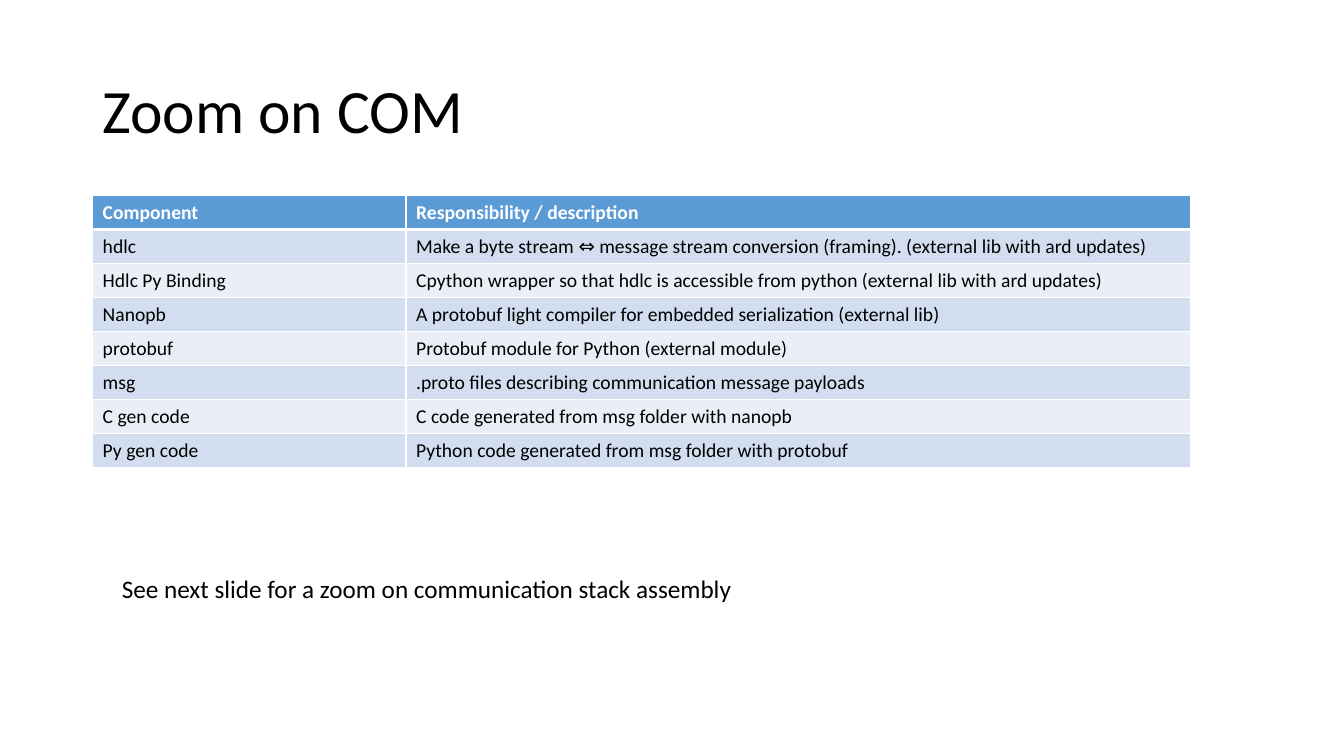
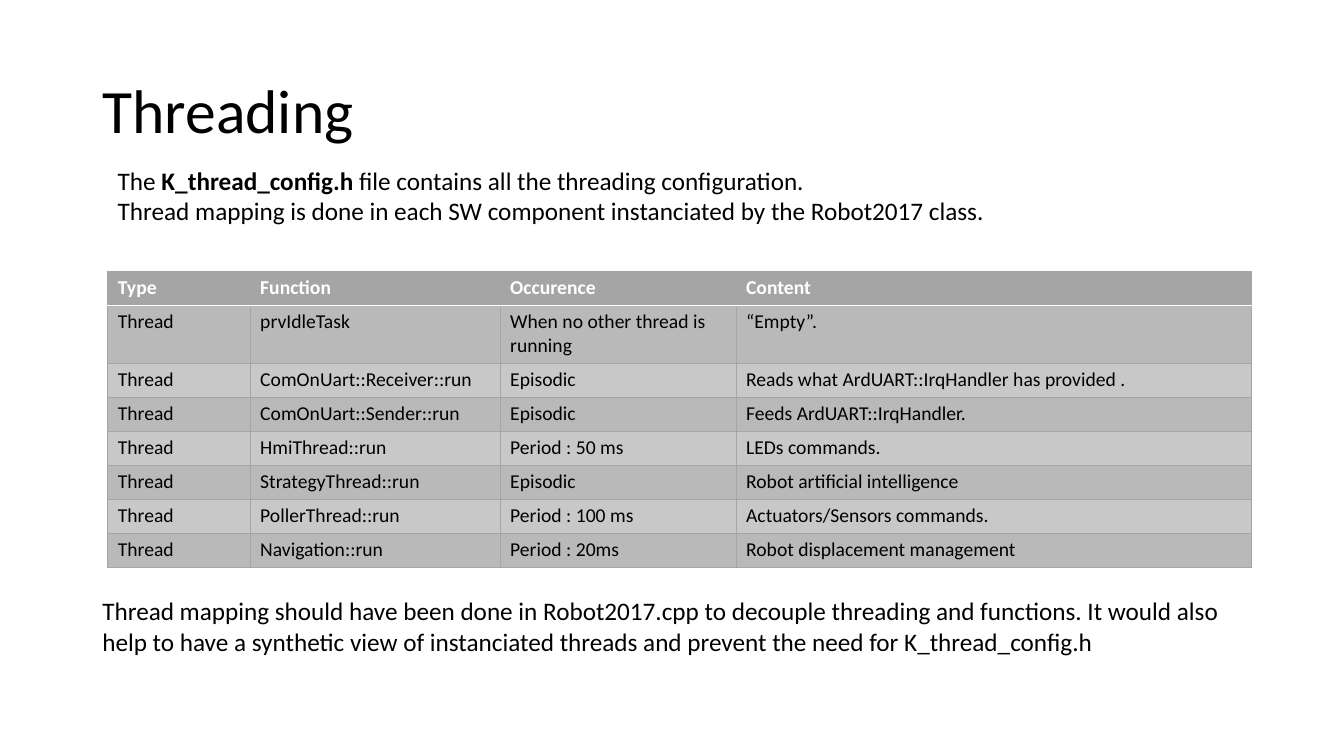
import pptx
import pptx.util
import pptx.dml.color
import pptx.enum.text
import pptx.oxml
import pptx.oxml.ns

Pt = pptx.util.Pt
FONT = "Calibri"
ROW_H = 24.3
COLORS = {
    "text": "000000",
    "white": "FFFFFF",
    "blue": "5B9BD5",
    "blue_mid": "D2DEEF",
    "blue_light": "EAEFF7",
    "gray": "A5A5A5",
    "gray_mid": "B9B9B9",
    "gray_light": "C8C8C8",
}
BLUE_STYLE = {"header": "blue", "bands": ("blue_mid", "blue_light"),
              "line": ("white", 1), "rule": ("white", 3)}
GRAY_STYLE = {"header": "gray", "bands": ("gray_mid", "gray_light"),
              "line": ("gray", 0.5), "rule": ("white", 1)}


def rgb(name):
    return pptx.dml.color.RGBColor.from_string(COLORS[name])


def format_run(r, size, color="text", bold=False):
    r.font.name = FONT
    r.font.size = Pt(size)
    r.font.bold = bold
    r.font.color.rgb = rgb(color)


def add_slide(prs, title):
    s = prs.slides.add_slide(prs.slide_layouts[5])
    sp = s.shapes.title
    sp.left, sp.top, sp.width, sp.height = Pt(66), Pt(28.8), Pt(828), Pt(104.4)
    tf = sp.text_frame
    tf.text = title
    tf.auto_size = pptx.enum.text.MSO_AUTO_SIZE.NONE
    tf.vertical_anchor = pptx.enum.text.MSO_ANCHOR.MIDDLE
    p = tf.paragraphs[0]
    p.alignment = pptx.enum.text.PP_ALIGN.LEFT
    p.line_spacing = 0.9
    format_run(p.runs[0], 44)
    return s


def add_text(s, box, paragraphs, wrap=True):
    sp = s.shapes.add_textbox(*map(Pt, box))
    tf = sp.text_frame
    tf.word_wrap = wrap
    for i, parts in enumerate(paragraphs):
        p = tf.paragraphs[0] if i == 0 else tf.add_paragraph()
        for text, bold in parts:
            r = p.add_run()
            r.text = text
            format_run(r, 18, bold=bold)


def add_border(cell, side, color, width):
    cell._tc.get_or_add_tcPr().append(pptx.oxml.parse_xml(
        f'<a:ln{side} {pptx.oxml.ns.nsdecls("a")} w="{int(Pt(width))}">'
        f'<a:solidFill><a:srgbClr val="{COLORS[color]}"/></a:solidFill>'
        f'</a:ln{side}>'))


def format_cell(cell, text, row, style):
    edges = {side: style["line"] for side in "LRTB"}
    if row == 0:
        edges["B"] = style["rule"]
    elif row == 1:
        edges["T"] = style["rule"]
    for side, (color, width) in edges.items():
        add_border(cell, side, color, width)
    fill = style["header"] if row == 0 else style["bands"][(row - 1) % 2]
    cell.fill.solid()
    cell.fill.fore_color.rgb = rgb(fill)
    cell.text = text
    format_run(cell.text_frame.paragraphs[0].runs[0], 14,
               "white" if row == 0 else "text", row == 0)


def add_grid(s, left, top, widths, rows, style, tall_rows=()):
    heights = [41.4 if i in tall_rows else ROW_H for i in range(len(rows))]
    table = s.shapes.add_table(len(rows), len(widths), Pt(left), Pt(top),
                               Pt(sum(widths)), Pt(sum(heights))).table
    table.first_row = table.horz_banding = False
    for column, width in zip(table.columns, widths):
        column.width = Pt(width)
    for i, (height, texts) in enumerate(zip(heights, rows)):
        table.rows[i].height = Pt(height)
        for j, text in enumerate(texts):
            format_cell(table.cell(i, j), text, i, style)


def com_slide(prs):
    s = add_slide(prs, "Zoom on COM")
    rows = [
        ("Component", "Responsibility / description"),
        ("hdlc", "Make a byte stream ⇔ message stream conversion (framing). "
                 "(external lib with ard updates)"),
        ("Hdlc Py Binding", "Cpython wrapper so that hdlc is accessible from python "
                            "(external lib with ard updates)"),
        ("Nanopb ", "A protobuf light compiler for embedded serialization (external lib)"),
        ("protobuf", "Protobuf module for Python (external module)"),
        ("msg", ".proto files describing communication message payloads"),
        ("C gen code", "C code generated from msg folder with nanopb"),
        ("Py gen code", "Python code generated from msg folder with protobuf"),
    ]
    add_grid(s, 66.2, 139.7, (223.9, 560.2), rows, BLUE_STYLE)
    add_text(s, (79.9, 406, 455, 29),
             [[("See next slide for a zoom on communication stack assembly", False)]],
             wrap=False)


def threading_slide(prs):
    s = add_slide(prs, "Threading")
    threads = [
        ("prvIdleTask", "When no other thread is running", "“Empty”."),
        ("ComOnUart::Receiver::run", "Episodic",
         "Reads what ArdUART::IrqHandler has provided ."),
        ("ComOnUart::Sender::run", "Episodic", "Feeds ArdUART::IrqHandler."),
        ("HmiThread::run", "Period : 50 ms", "LEDs commands."),
        ("StrategyThread::run", "Episodic", "Robot artificial intelligence"),
        ("PollerThread::run", "Period : 100 ms", "Actuators/Sensors commands."),
        ("Navigation::run", "Period : 20ms", "Robot displacement management"),
    ]
    rows = [("Type", "Function", "Occurence", "Content")]
    rows += [("Thread", *thread) for thread in threads]
    add_grid(s, 77, 193.7, (101.7, 178.6, 168.5, 368), rows, GRAY_STYLE, tall_rows=(1,))
    add_text(s, (77, 114.5, 830, 51), [
        [("The ", False), ("K_thread_config.h ", True),
         ("file contains all the threading configuration.", False)],
        [("Thread mapping is done in each SW component instanciated by the "
          "Robot2017 class.", False)],
    ])
    add_text(s, (66, 422, 814.3, 51), [
        [("Thread mapping should have been done in Robot2017.cpp to decouple threading "
          "and functions. It would also help to have a synthetic view of instanciated "
          "threads and prevent the need for K_thread_config.h", False)],
    ])


prs = pptx.Presentation()
prs.slide_width, prs.slide_height = Pt(960), Pt(540)
com_slide(prs)
threading_slide(prs)
prs.save("out.pptx")
